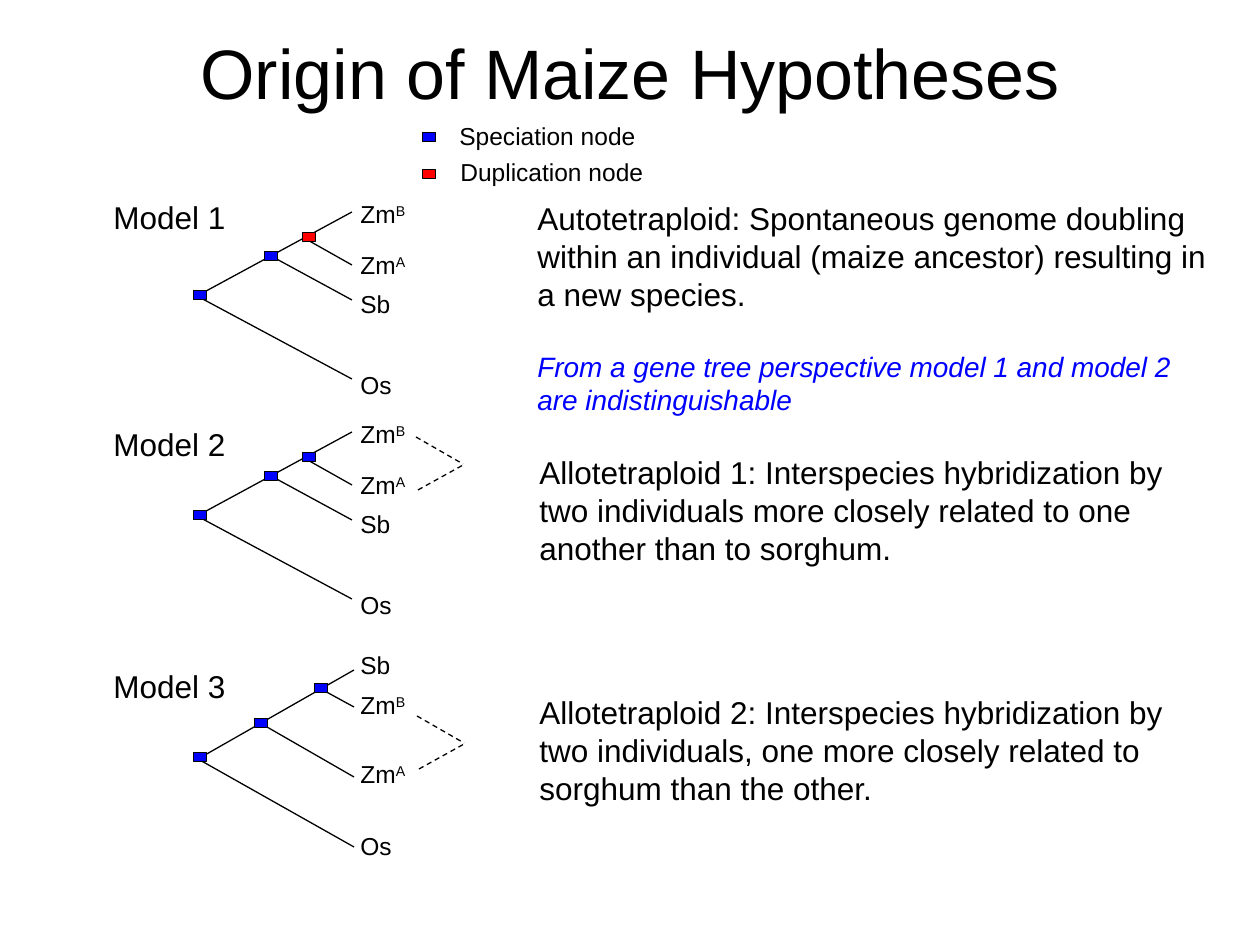
from pptx import Presentation
from pptx.dml.color import RGBColor
from pptx.enum.dml import MSO_LINE
from pptx.enum.shapes import MSO_CONNECTOR, MSO_SHAPE
from pptx.enum.text import MSO_ANCHOR, MSO_AUTO_SIZE, PP_ALIGN
from pptx.oxml.ns import qn
from pptx.util import Pt
from lxml import etree

STRAIGHT, RECT = MSO_CONNECTOR.STRAIGHT, MSO_SHAPE.RECTANGLE
DASH, MIDDLE, CENTER = MSO_LINE.DASH, MSO_ANCHOR.MIDDLE, PP_ALIGN.CENTER
FIT, NO_FIT = MSO_AUTO_SIZE.SHAPE_TO_FIT_TEXT, MSO_AUTO_SIZE.NONE
BLACK = RGBColor(0, 0, 0)
BLUE = RGBColor(0, 0, 255)
RED = RGBColor(255, 0, 0)
FONT = "Arial"
NODE_W, NODE_H = 13, 9
TIP_W, TIP_H = 75, 43

LATE_SPLIT = dict(
    tips=[("Zm", "B", 0), ("Zm", "A", 51), ("Sb", "", 90), ("Os", "", 171)],
    branches=[(2, 103, 157, 186), (2, 103, 157, 19), (76, 63, 157, 107), (109, 45, 157, 72)],
    nodes=[(5, 102), (76, 63), (114, 44)])
EARLY_SPLIT = dict(
    tips=[("Sb", "", 0), ("Zm", "B", 40), ("Zm", "A", 109), ("Os", "", 181)],
    branches=[(3, 115, 159, 203), (3, 115, 159, 26), (65, 79, 159, 133), (126, 45, 159, 63)],
    nodes=[(5, 113), (66, 79), (126, 44)])

MODELS = [
    dict(
        LATE_SPLIT, name="Model 1", name_y=192, tree_y=193, text_box=(525, 193, 699, 232),
        text="Autotetraploid: Spontaneous genome doubling within an individual "
             "(maize ancestor) resulting in a new species.",
        note="From a gene tree perspective model 1 and model 2 are indistinguishable",
        colors=(BLUE, BLUE, RED)),
    dict(
        LATE_SPLIT, name="Model 2", name_y=419, tree_y=413, text_box=(527, 447, 699, 126),
        text="Allotetraploid 1: Interspecies hybridization by two individuals "
             "more closely related to one another than to sorghum.",
        colors=(BLUE, BLUE, BLUE), hybrid=(221, 24)),
    dict(
        EARLY_SPLIT, name="Model 3", name_y=661, tree_y=644, text_box=(527, 687, 699, 126),
        text="Allotetraploid 2: Interspecies hybridization by two individuals, "
             "one more closely related to sorghum than the other.",
        colors=(BLUE, BLUE, BLUE), hybrid=(222, 72)),
]


def px(*values):
    """Turn pixel lengths into EMU."""
    return [round(v * 914400 / 126) for v in values]


def style(p, size, color=BLACK, italic=False):
    """Format every run of a paragraph."""
    for r in p.runs:
        r.font.name, r.font.size, r.font.italic = FONT, Pt(size), italic
        r.font.color.rgb = color


def add_text(shapes, box, text, size, wrap=False):
    """Add a text box and return its text frame."""
    tf = shapes.add_textbox(*px(*box)).text_frame
    tf.word_wrap = wrap
    tf.auto_size = FIT
    tf.text = text
    style(tf.paragraphs[0], size)
    return tf


def add_line(shapes, ends, dash=None):
    """Add a thin straight line without a shadow."""
    line = shapes.add_connector(STRAIGHT, *px(*ends))
    line.line.color.rgb = BLACK
    line.line.width = Pt(0.75)
    if dash:
        line.line.dash_style = dash
    etree.SubElement(line._element.spPr, qn("a:effectLst"))


def add_node(shapes, x, y, color):
    """Add a node marker centred on a point."""
    sp = shapes.add_shape(RECT, *px(x - NODE_W / 2, y - NODE_H / 2, NODE_W, NODE_H))
    sp.shadow.inherit = False
    sp.fill.solid()
    sp.fill.fore_color.rgb = color
    sp.line.color.rgb = BLACK
    sp.line.width = Pt(0.75)


def add_tree(slide, x, y, model):
    """Draw one gene tree with its tips, nodes and hybridization bracket."""
    shapes = slide.shapes.add_group_shape().shapes
    for x1, y1, x2, y2 in model["branches"]:
        add_line(shapes, (x + x1, y + y1, x + x2, y + y2))
    for species, copy, dy in model["tips"]:
        tf = add_text(shapes, (x + 153, y + dy, TIP_W, TIP_H), species, 14, wrap=True)
        if copy:
            p = tf.paragraphs[0]
            r = p.add_run()
            r.text = copy
            style(p, 14)
            r._r.get_or_add_rPr().set("baseline", "30000")
    for (dx, dy), color in zip(model["nodes"], model["colors"]):
        add_node(shapes, x + dx, y + dy, color)
    if "hybrid" in model:
        dx, dy = model["hybrid"]
        left, top = x + dx, y + dy
        add_line(shapes, (left, top, left + 47, top + 27), DASH)
        add_line(shapes, (left + 2, top + 53, left + 49, top + 27), DASH)


def add_model(slide, model):
    """Place a model's name, tree and description."""
    add_text(slide.shapes, (101, model["name_y"], 137, 50), model["name"], 18)
    add_tree(slide, 195, model["tree_y"], model)
    tf = add_text(slide.shapes, model["text_box"], model["text"], 18, wrap=True)
    if "note" in model:
        p = tf.add_paragraph()
        p.text = model["note"]
        p.space_before = Pt(21)
        style(p, 16, BLUE, italic=True)


def add_legend(slide, x, y):
    """Place the key to the node colours."""
    shapes = slide.shapes.add_group_shape().shapes
    entries = [("Speciation node", BLUE), ("Duplication node", RED)]
    for i, (text, color) in enumerate(entries):
        add_node(shapes, x + 7, y + 22 + 37 * i, color)
        add_text(shapes, (x + 25 + i, y + 36 * i, 215, 43), text, 14, wrap=True)


def add_title(slide, box, text):
    """Fill and place the title placeholder."""
    sp = slide.shapes.title
    sp.left, sp.top, sp.width, sp.height = px(*box)
    tf = sp.text_frame
    tf.text = text
    tf.auto_size = NO_FIT
    tf.vertical_anchor = MIDDLE
    tf.paragraphs[0].alignment = CENTER
    style(tf.paragraphs[0], 40)


def main():
    """Build the slide."""
    prs = Presentation()
    prs.slide_width, prs.slide_height = px(1260, 945)
    slide = prs.slides.add_slide(prs.slide_layouts[5])
    add_title(slide, (63, 38, 1134, 67), "Origin of Maize Hypotheses")
    add_legend(slide, 422, 115)
    for model in MODELS:
        add_model(slide, model)
    prs.save("out.pptx")


if __name__ == "__main__":
    main()
